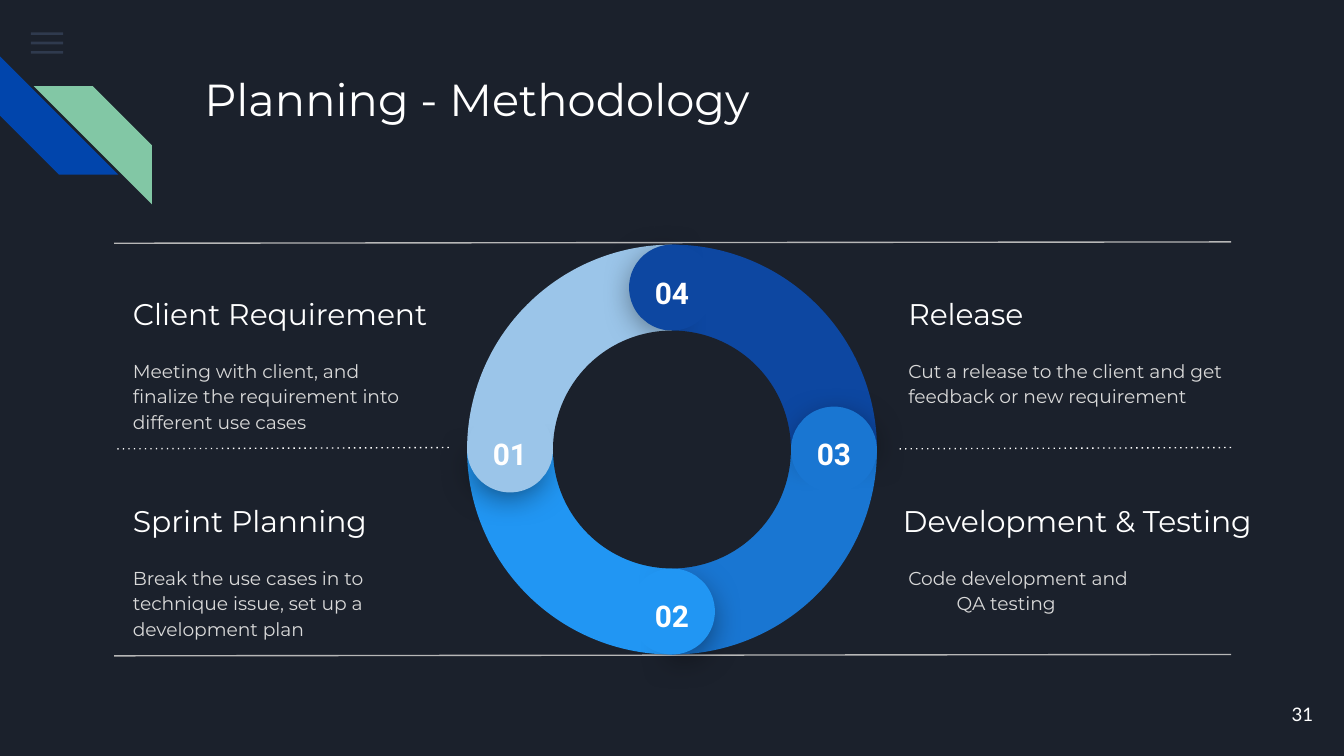
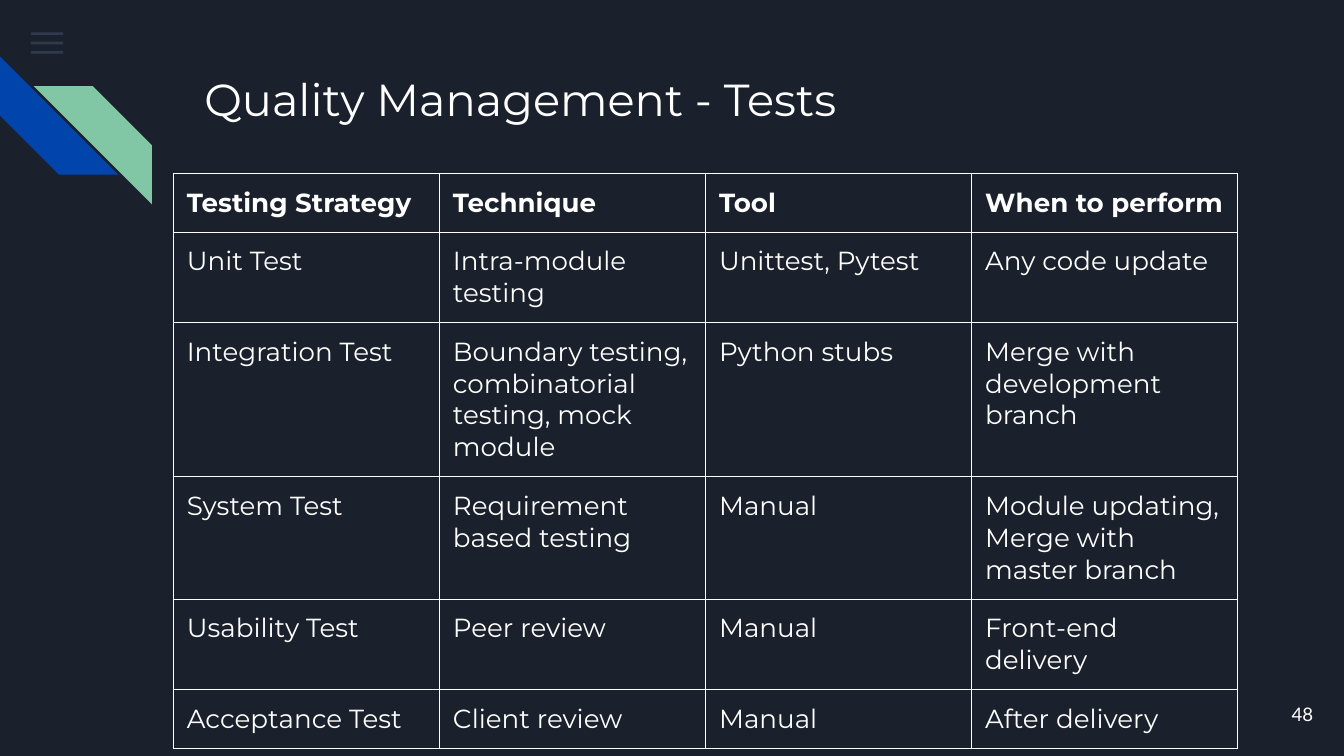
from math import cos, radians, sin

from lxml.etree import SubElement
from pptx import Presentation
from pptx.dml.color import RGBColor
from pptx.enum.shapes import MSO_CONNECTOR, MSO_SHAPE as SHAPE
from pptx.enum.text import MSO_ANCHOR as ANCHOR, MSO_AUTO_SIZE as AUTO, PP_ALIGN as ALIGN
from pptx.oxml.ns import qn
from pptx.util import Inches, Pt

CELL = Inches(0.1)
COLS, ROWS = 100, 56.25
TITLE_ONLY = 5

NIGHT = RGBColor(0x1B, 0x21, 0x2C)
SLATE = RGBColor(0x55, 0x68, 0x8B)
ROYAL = RGBColor(0x01, 0x45, 0xAC)
MINT = RGBColor(0x82, 0xC7, 0xA5)
WHITE = RGBColor(0xFF, 0xFF, 0xFF)
PALE = RGBColor(0xD9, 0xD9, 0xD9)
GREY = RGBColor(0xB7, 0xB7, 0xB7)
SKY = RGBColor(0x9B, 0xC5, 0xE9)
AZURE = RGBColor(0x21, 0x96, 0xF3)
COBALT = RGBColor(0x19, 0x76, 0xD2)
NAVY = RGBColor(0x0D, 0x47, 0xA1)

TITLE = {"name": "Montserrat", "size": Pt(24), "bold": False}
HEADING = {"name": "Montserrat", "size": Pt(16)}
BODY = {"name": "Montserrat", "size": Pt(10)}
CELL_TEXT = {"name": "Montserrat", "size": Pt(14)}
STEP_NUMBER = {"name": "Roboto", "size": Pt(16), "bold": True}
PAGE_NUMBER = {"name": "Lato", "size": Pt(10)}
BODY_SPACING = {"line_spacing": 1.15}
INSETS = {f"margin_{side}": CELL for side in ("left", "right", "top", "bottom")}

RING_CENTRE = (50, 33.45)
RING_SIZE, HOLE_SIZE = 30.5, 17.7
TRACK = (RING_SIZE + HOLE_SIZE) / 4
STEPS = [("01", SKY, 0), ("02", AZURE, 270), ("03", COBALT, 180), ("04", NAVY, 90)]

NOTES = [
    (8.9, 20.9, 24, 21.8, "Client Requirement",
     ["Meeting with client, and finalize the requirement into different use cases"]),
    (8.9, 36.3, 24, 21.8, "Sprint Planning",
     ["Break the use cases in to technique issue, set up a development plan"]),
    (66.6, 20.9, 25.7, 26.3, "Release",
     ["Cut a release to the client and get feedback or new requirement"]),
    (66.6, 36.3, 28.7, 20.3, "Development & Testing",
     ["Code development and", "QA testing"]),
]

TESTS = [
    ("Testing Strategy", "Technique", "Tool", "When to perform"),
    ("Unit Test", "Intra-module testing", "Unittest, Pytest", "Any code update"),
    ("Integration Test", "Boundary testing, combinatorial testing, mock module",
     "Python stubs", "Merge with development branch"),
    ("System Test", "Requirement based testing", "Manual",
     "Module updating, Merge with master branch"),
    ("Usability Test", "Peer review", "Manual", "Front-end delivery"),
    ("Acceptance Test", "Client review", "Manual", "After delivery"),
]


def cells(*counts):
    return [int(n * CELL) for n in counts]


def apply(obj, values):
    for name, value in values.items():
        setattr(obj, name, value)


def write(tf, lines, font, color=WHITE, anchor=ANCHOR.TOP, para=None):
    apply(tf, {"word_wrap": True, "auto_size": AUTO.NONE,
               "vertical_anchor": anchor, **INSETS})
    for i, line in enumerate(lines):
        p = tf.add_paragraph() if i else tf.paragraphs[0]
        apply(p, para or {})
        r = p.add_run()
        r.text = line
        apply(r.font, font)
        r.font.color.rgb = color


def add_text(slide, box, lines, font, **style):
    tf = slide.shapes.add_textbox(*cells(*box)).text_frame
    write(tf, lines, font, **style)
    return tf


def add_form(slide, kind, box, color, turn=0, adjust=()):
    sp = slide.shapes.add_shape(kind, *cells(*box))
    sp.shadow.inherit = False
    sp.fill.solid()
    sp.fill.fore_color.rgb = color
    sp.line.fill.background()
    sp.rotation = turn % 360
    for i, value in enumerate(adjust):
        sp.adjustments[i] = value
    return sp


def arc(start, end):
    return start * 0.6, end * 0.6


def centred(x, y, size):
    return x - size / 2, y - size / 2, size, size


def set_alpha(color, percent):
    SubElement(color, qn("a:alpha"), val=str(percent * 1000))


def add_shadow(sp):
    effects = sp._element.spPr.find(qn("a:effectLst"))
    shadow = SubElement(effects, qn("a:outerShdw"), blurRad=str(Pt(18)), dist=str(Pt(4)),
                        dir="5400000", algn="bl", rotWithShape="0")
    set_alpha(SubElement(shadow, qn("a:srgbClr"), val="000000"), 55)


def add_rule(slide, left, right, row, color, dotted=False):
    c = slide.shapes.add_connector(MSO_CONNECTOR.STRAIGHT, *cells(right, row, left, row + 0.1))
    c.line.width = Pt(0.75)
    c.line.color.rgb = color
    if dotted:
        SubElement(c.line._get_or_add_ln(), qn("a:prstDash"), val="dot")
    SubElement(c._element.spPr, qn("a:effectLst"))


def add_slide(prs, title, number):
    slide = prs.slides.add_slide(prs.slide_layouts[TITLE_ONLY])
    slide.background.fill.solid()
    slide.background.fill.fore_color.rgb = NIGHT
    for i in range(3):
        bar = add_form(slide, SHAPE.RECTANGLE, (2.3, 2.4 + 0.7 * i, 2.4, 0.2), SLATE)
        set_alpha(bar._element.spPr.find(f".//{qn('a:srgbClr')}"), 36)
    for left, top, color, turn in [(0, 4.2, ROYAL, 270), (2.5, 6.4, MINT, 90)]:
        add_form(slide, SHAPE.DIAGONAL_STRIPE, (left, top, 8.8, 8.8), color, turn, [0.5])
    sp = slide.shapes.title
    apply(sp, dict(zip(("left", "top", "width", "height"), cells(14.2, 4.3, 77, 10))))
    write(sp.text_frame, [title], TITLE, para={"alignment": ALIGN.LEFT})
    add_text(slide, (92.7, 51, 6, 4.3), [number], PAGE_NUMBER,
             anchor=ANCHOR.MIDDLE, para={"alignment": ALIGN.RIGHT})
    return slide


def add_note(slide, left, top, head_width, body_width, heading, lines):
    nudge = 0.4 if head_width > 28 else 0
    add_text(slide, (left - nudge, top, head_width, 4.9), [heading], HEADING,
             anchor=ANCHOR.MIDDLE)
    tf = add_text(slide, (left, top + 4.6, body_width, 7.6), lines, BODY,
                  color=PALE, para=BODY_SPACING)
    for p in tf.paragraphs[1:]:
        p._p.get_or_add_pPr().set("marL", str(Inches(0.36)))


def add_step_cap(slide, number, color, turn):
    x, y = RING_CENTRE
    dx, dy = -cos(radians(turn)), -sin(radians(turn))
    cap = add_form(slide, SHAPE.PIE, centred(x + 12.2 * dx, y + 12.2 * dy, 5.7),
                   color, turn + 39.5, arc(315.9, 139.7))
    add_shadow(cap)
    x, y = x + TRACK * dx, y + TRACK * dy
    add_form(slide, SHAPE.CHORD, centred(x, y, (RING_SIZE - HOLE_SIZE) / 2),
             color, turn + 4.1, arc(41.7, 30.2))
    add_text(slide, (x - 2.8, y - 2, 5.6, 2.9), [number], STEP_NUMBER,
             para={"alignment": ALIGN.CENTER})


def add_ring(slide):
    for _, color, turn in STEPS:
        add_form(slide, SHAPE.PIE, centred(*RING_CENTRE, RING_SIZE), color, turn, arc(179.9, 270))
    for step in STEPS:
        add_step_cap(slide, *step)
    add_form(slide, SHAPE.OVAL, centred(*RING_CENTRE, HOLE_SIZE), NIGHT)


def set_borders(cell, color):
    tc_pr = cell._tc.get_or_add_tcPr()
    for i, side in enumerate(("lnL", "lnR", "lnT", "lnB")):
        ln = SubElement(tc_pr, qn(f"a:{side}"), w=str(Pt(0.75)))
        SubElement(SubElement(ln, qn("a:solidFill")), qn("a:srgbClr"), val=str(color))
        tc_pr.insert(i, ln)


def add_test_table(slide, rows, left, top, col_width, row_height):
    n_rows, n_cols = len(rows), len(rows[0])
    box = cells(left, top, col_width * n_cols, row_height * n_rows)
    table = slide.shapes.add_table(n_rows, n_cols, *box).table
    apply(table, {"first_row": False, "horz_banding": False})
    for i, row in enumerate(rows):
        for j, text in enumerate(row):
            cell = table.cell(i, j)
            apply(cell, {"vertical_anchor": ANCHOR.TOP, **INSETS})
            cell.fill.background()
            set_borders(cell, WHITE)
            r = cell.text_frame.paragraphs[0].add_run()
            r.text = text
            apply(r.font, {**CELL_TEXT, "bold": i == 0})
            r.font.color.rgb = WHITE


def build_methodology(prs):
    slide = add_slide(prs, "Planning - Methodology", "31")
    for note in NOTES:
        add_note(slide, *note)
    for row in (18, 48.7):
        add_rule(slide, 8.5, 91.6, row, GREY)
    for left, right in [(8.5, 33.4), (66.7, 91.6)]:
        add_rule(slide, left, right, 33.3, WHITE, dotted=True)
    add_ring(slide)


def build_tests(prs):
    slide = add_slide(prs, "Quality Management - Tests", "48")
    add_test_table(slide, TESTS, 12.9, 12.9, 19.8, 4.2)


def main():
    prs = Presentation()
    prs.slide_width, prs.slide_height = cells(COLS, ROWS)
    build_methodology(prs)
    build_tests(prs)
    prs.save("out.pptx")


if __name__ == "__main__":
    main()
